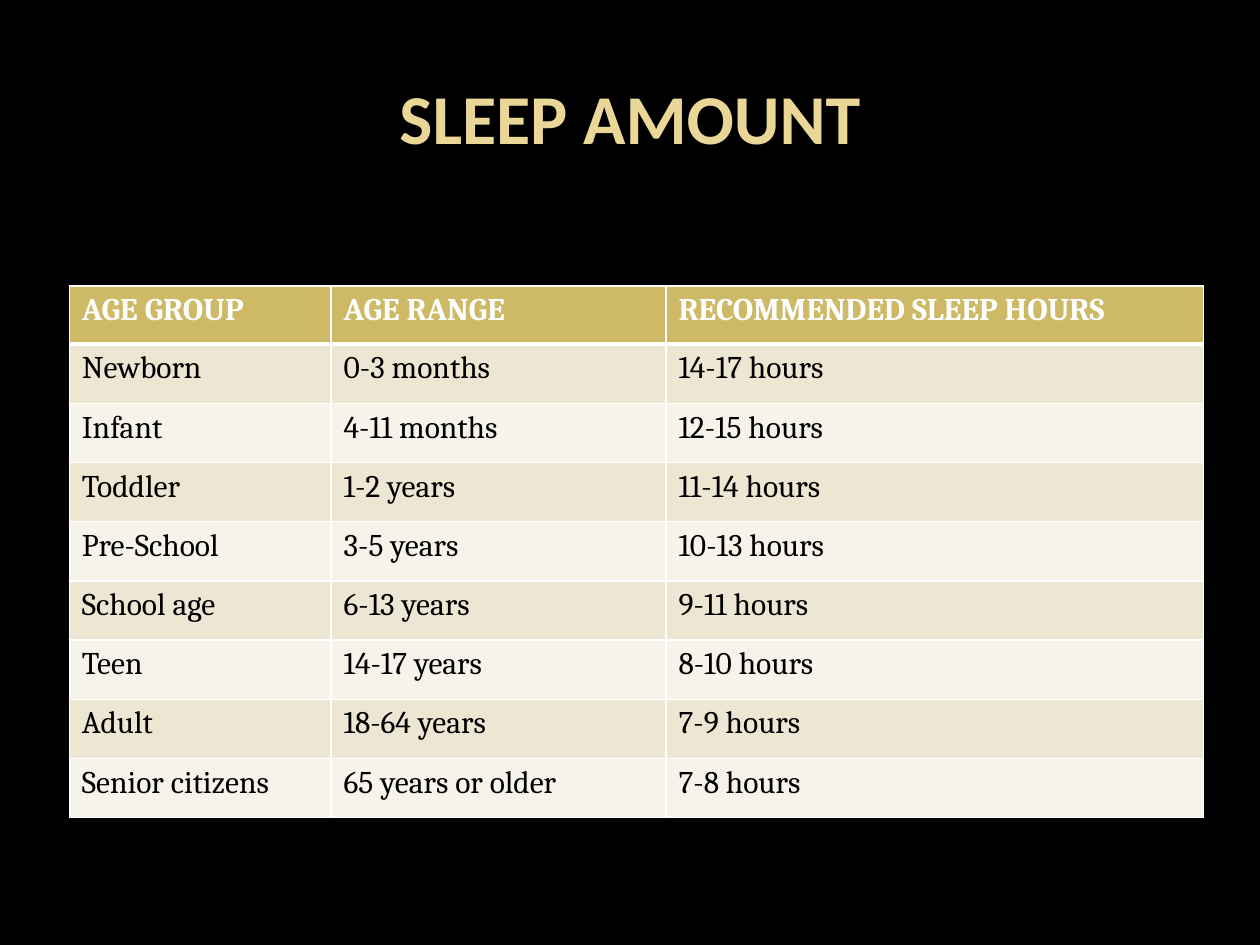
"""Builds a slide with a table of recommended sleep hours by age."""
import dataclasses

import lxml.etree
import pptx
import pptx.dml.color
import pptx.enum.text
import pptx.oxml.ns
import pptx.util

Pt = pptx.util.Pt
ANCHOR = pptx.enum.text.MSO_ANCHOR
ALIGN = pptx.enum.text.PP_ALIGN
HUES = {
    "back": "000000", "title": "EAD696", "head": "CEB966", "dark": "EDE6D3",
    "light": "F6F3EA", "ink": "000000", "white": "FFFFFF",
}
WIDTHS = (149.6, 191.4, 307.1)
HEAD_H, ROW_H = 33.3, 33.84


@dataclasses.dataclass(frozen=True)
class Row:
    group: str
    ages: str
    hours: str


ROWS = (
    Row("AGE GROUP", "AGE RANGE", "RECOMMENDED SLEEP HOURS"),
    Row("Newborn", "0-3 months", "14-17 hours"),
    Row("Infant", "4-11 months", "12-15 hours"),
    Row("Toddler", "1-2 years", "11-14 hours"),
    Row("Pre-School", "3-5 years", "10-13 hours"),
    Row("School age", "6-13 years", "9-11 hours"),
    Row("Teen", "14-17 years", "8-10 hours"),
    Row("Adult", "18-64 years", "7-9 hours"),
    Row("Senior citizens", "65 years or older", "7-8 hours"),
)


def color(name: str) -> pptx.dml.color.RGBColor:
    return pptx.dml.color.RGBColor.from_string(HUES[name])


def write(frame, text: str, *, font: str, size: float, hue: str,
          bold: bool = False, align=ALIGN.LEFT) -> None:
    para = frame.paragraphs[0]
    para.alignment = align
    run = para.add_run()
    run.text = text
    run.font.name = font
    run.font.size = Pt(size)
    run.font.bold = bold
    run.font.color.rgb = color(hue)


def border(cell, sides: dict[str, float]) -> None:
    props = cell._tc.get_or_add_tcPr()
    qn = pptx.oxml.ns.qn
    for spot, (side, width) in enumerate(sides.items()):
        line = lxml.etree.Element(qn(f"a:ln{side}"), w=str(Pt(width)))
        fill = lxml.etree.SubElement(line, qn("a:solidFill"))
        lxml.etree.SubElement(fill, qn("a:srgbClr"), val=HUES["white"])
        props.insert(spot, line)


def add_title(slide) -> None:
    box = slide.shapes.add_textbox(Pt(36), Pt(21.6), Pt(648), Pt(90))
    frame = box.text_frame
    frame.word_wrap = True
    frame.vertical_anchor = ANCHOR.MIDDLE
    write(frame, "SLEEP AMOUNT", font="Calibri", size=40, hue="title",
          bold=True, align=ALIGN.CENTER)


def add_grid(slide, rows: tuple[Row, ...]) -> None:
    high = HEAD_H + ROW_H * (len(rows) - 1)
    table = slide.shapes.add_table(
        len(rows), len(WIDTHS), Pt(39.6), Pt(163.4), Pt(sum(WIDTHS)), Pt(high)
    ).table
    for col, width in zip(table.columns, WIDTHS):
        col.width = Pt(width)
    for i, row in enumerate(rows):
        head = i == 0
        table.rows[i].height = Pt(HEAD_H if head else ROW_H)
        shade = "head" if head else "dark" if i % 2 else "light"
        for j, text in enumerate(dataclasses.astuple(row)):
            cell = table.cell(i, j)
            cell.fill.solid()
            cell.fill.fore_color.rgb = color(shade)
            border(cell, {"L": 1, "R": 1, "T": 3 if i == 1 else 1,
                          "B": 3 if head else 1})
            write(cell.text_frame, text, font="Cambria", size=18,
                  hue="white" if head else "ink", bold=head)


def main() -> None:
    deck = pptx.Presentation()
    deck.slide_width, deck.slide_height = Pt(720), Pt(540)
    slide = deck.slides.add_slide(deck.slide_layouts[6])
    slide.background.fill.solid()
    slide.background.fill.fore_color.rgb = color("back")
    add_title(slide)
    add_grid(slide, ROWS)
    deck.save("out.pptx")


main()
